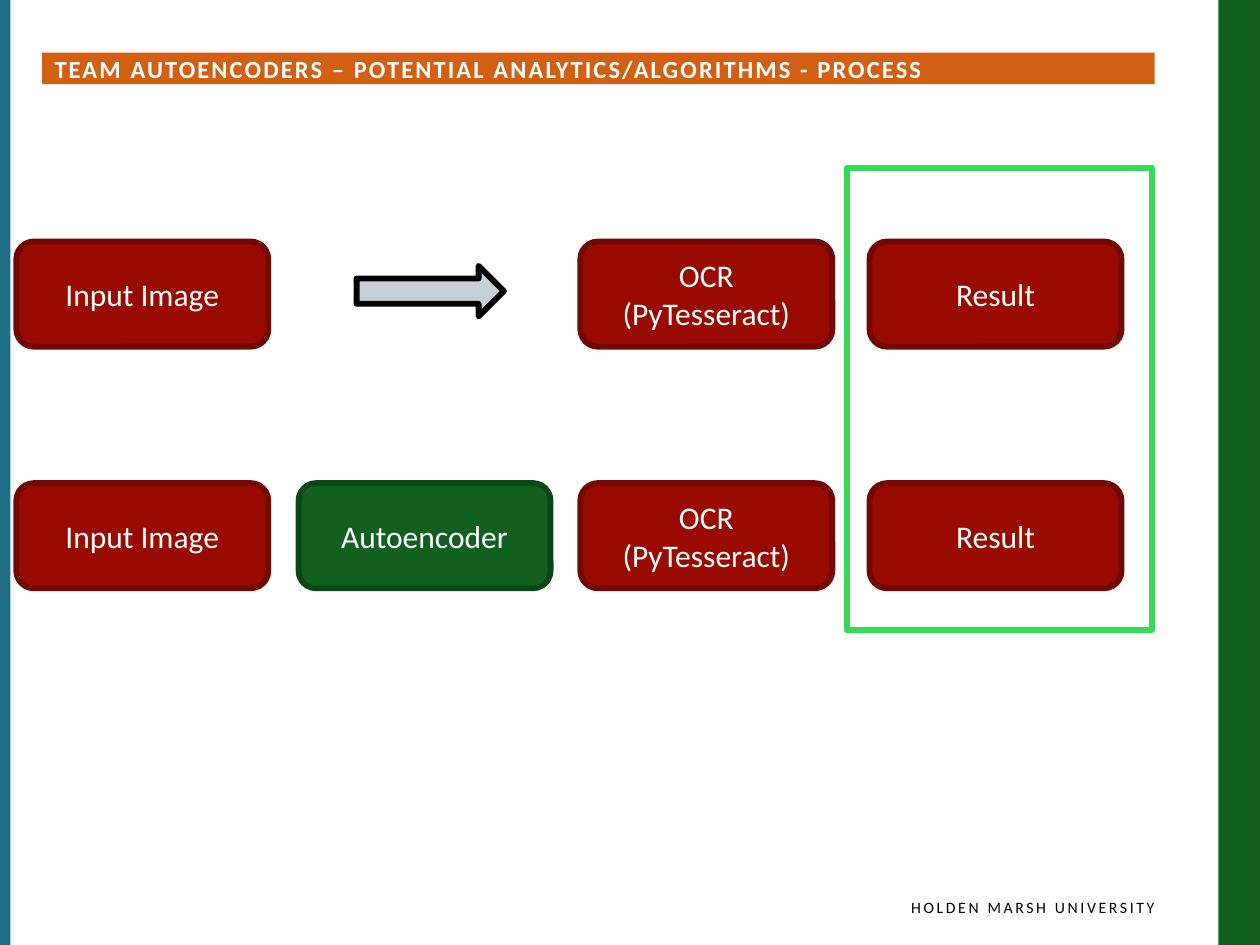
"""Build the slide comparing OCR with and without an autoencoder step."""
from dataclasses import dataclass
from typing import Optional

from lxml.etree import SubElement
from pptx import Presentation
from pptx.dml.color import RGBColor as Rgb
from pptx.enum.shapes import MSO_SHAPE as Kind
from pptx.enum.text import MSO_ANCHOR as Anchor, PP_ALIGN as Align
from pptx.oxml.ns import qn
from pptx.util import Cm, Pt


@dataclass(frozen=True)
class Theme:
    font: str = "Calibri"
    white: str = "FFFFFF"
    black: str = "000000"
    teal: str = "1E6E86"
    green: str = "116020"
    pine: str = "0D4718"
    orange: str = "D26014"
    red: str = "990B01"
    maroon: str = "710801"
    grey: str = "C5D1D7"
    lime: str = "35DB54"
    stroke: float = 3.35
    step: int = 18
    head: int = 14
    foot: int = 9


@dataclass(frozen=True)
class Area:
    left: float
    top: float
    width: float
    height: float

    def cm(self) -> tuple:
        return Cm(self.left), Cm(self.top), Cm(self.width), Cm(self.height)


@dataclass(frozen=True)
class Block:
    area: Area
    kind: Kind = Kind.RECTANGLE
    fill: Optional[str] = None
    line: Optional[str] = None


@dataclass(frozen=True)
class Step:
    text: str
    col: int
    row: int
    fill: str
    line: str


THEME = Theme()
COLS = (0.33, 6.02, 11.7, 17.53)
ROWS = (4.87, 9.74)
WIDE, HIGH = 5.08, 2.12

BARS = (
    Block(Area(24.56, 0, 0.84, 19.05), fill=THEME.green),
    Block(Area(0, 0, 0.21, 19.05), fill=THEME.teal),
)
TITLE = Block(Area(0.85, 1.06, 22.43, 0.64), fill=THEME.orange)
FOOT = Area(12.9, 17.98, 10.37, 0.85)
ARROW = Block(Area(7.19, 5.36, 2.97, 1.02), Kind.RIGHT_ARROW, THEME.grey, THEME.black)
FRAME = Block(Area(17.07, 3.39, 6.15, 9.31), line=THEME.lime)

STAGES = ((0, "Input Image"), (2, "OCR\n(PyTesseract)"), (3, "Result"))
STEPS = [
    Step(text, col, row, THEME.red, THEME.maroon)
    for row in range(len(ROWS)) for col, text in STAGES
] + [Step("Autoencoder", 1, 1, THEME.green, THEME.pine)]


def draw(slide, block: Block):
    """Draw a plain shape with optional fill and round-joined outline."""
    shape = slide.shapes.add_shape(block.kind, *block.area.cm())
    shape.shadow.inherit = False
    if block.fill:
        shape.fill.solid()
        shape.fill.fore_color.rgb = Rgb.from_string(block.fill)
    else:
        shape.fill.background()
    if block.line:
        shape.line.color.rgb = Rgb.from_string(block.line)
        shape.line.width = Pt(THEME.stroke)
        SubElement(shape.line._get_or_add_ln(), qn("a:round"))
    else:
        shape.line.fill.background()
    return shape


def write(shape, text: str, size: int, tint: str, align: Align,
          bold: bool = False, space: int = 0) -> None:
    """Set the text of a shape and format its runs."""
    frame = shape.text_frame
    frame.word_wrap = True
    frame.text = text
    for para in frame.paragraphs:
        para.alignment = align
        for run in para.runs:
            font = run.font
            font.name, font.size, font.bold = THEME.font, Pt(size), bold
            font.color.rgb = Rgb.from_string(tint)
            if space:
                run._r.get_or_add_rPr().set("spc", str(space))


def place(slide, step: Step) -> None:
    """Draw one process step on the grid."""
    area = Area(COLS[step.col], ROWS[step.row], WIDE, HIGH)
    shape = draw(slide, Block(area, Kind.ROUNDED_RECTANGLE, step.fill, step.line))
    shape.text_frame.vertical_anchor = Anchor.MIDDLE
    write(shape, step.text, THEME.step, THEME.white, Align.CENTER)


def main() -> None:
    """Build and save the deck."""
    deck = Presentation()
    deck.slide_width, deck.slide_height = Cm(25.4), Cm(19.05)
    slide = deck.slides.add_slide(deck.slide_layouts[6])

    for bar in BARS:
        draw(slide, bar)

    foot = slide.shapes.add_textbox(*FOOT.cm())
    foot.text_frame.margin_right = 0
    write(foot, "HOLDEN MARSH UNIVERSITY", THEME.foot, THEME.black,
          Align.RIGHT, space=150)

    title = draw(slide, TITLE)
    title.text_frame.margin_top = title.text_frame.margin_bottom = 0
    title.text_frame.vertical_anchor = Anchor.MIDDLE
    write(title, "TEAM AUTOENCODERS – POTENTIAL ANALYTICS/ALGORITHMS - PROCESS",
          THEME.head, THEME.white, Align.LEFT, bold=True, space=120)

    for step in STEPS:
        place(slide, step)
    for block in (ARROW, FRAME):
        draw(slide, block)

    deck.save("out.pptx")


if __name__ == "__main__":
    main()
